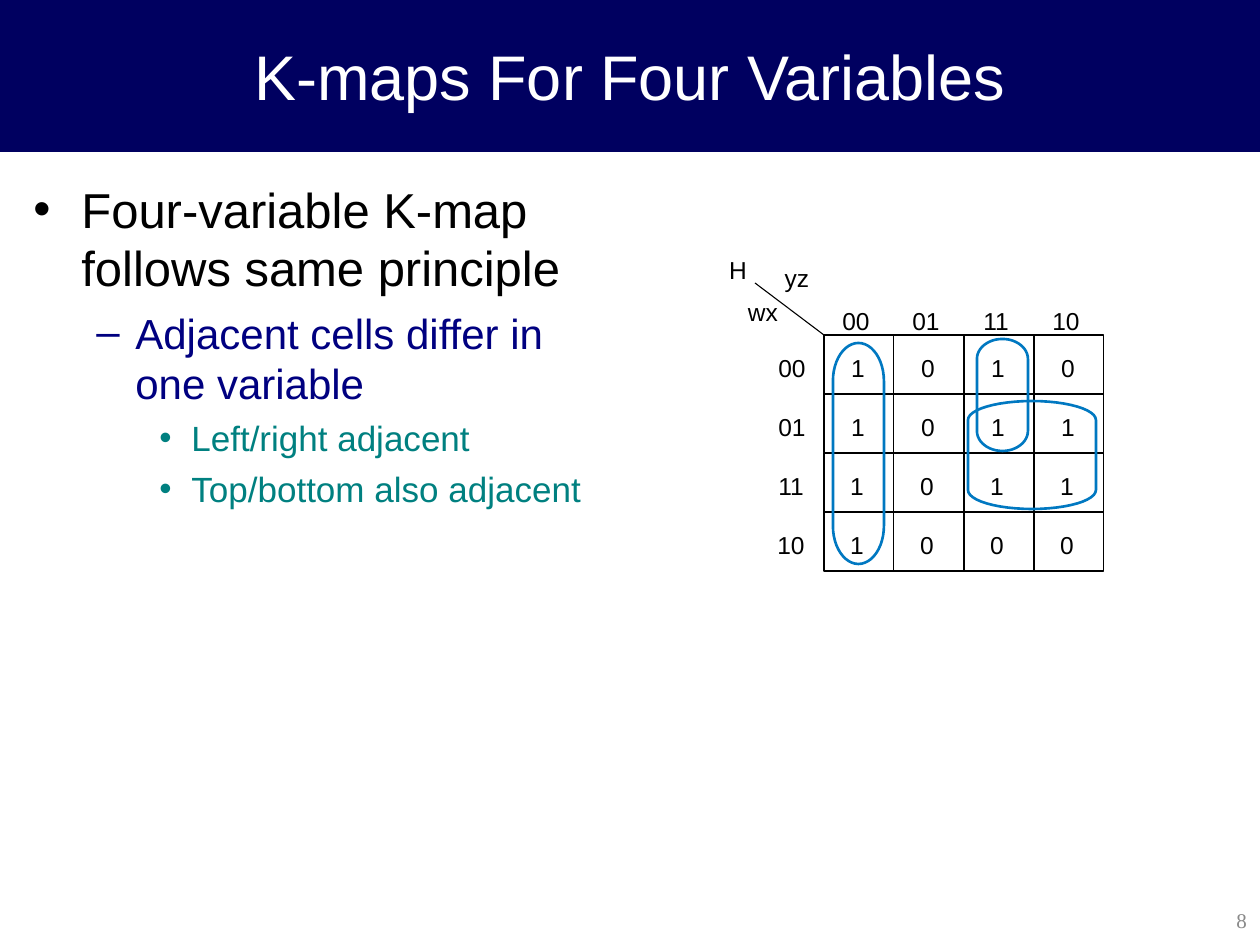
from dataclasses import dataclass
from math import cos, pi, sin

from lxml.etree import SubElement
from pptx import Presentation
from pptx.dml.color import RGBColor
from pptx.enum.shapes import MSO_CONNECTOR, MSO_SHAPE
from pptx.enum.text import MSO_ANCHOR, PP_ALIGN
from pptx.oxml.ns import qn
from pptx.util import Pt


@dataclass(frozen=True)
class Theme:
    """Colours, fonts and type sizes of the slide."""
    navy: str = "000060"
    white: str = "FFFFFF"
    black: str = "000000"
    blue: str = "000080"
    teal: str = "008080"
    loop: str = "0078C1"
    grey: str = "898989"
    sans: str = "Arial"
    serif: str = "Times New Roman"
    title: int = 36
    levels: tuple = (28, 24, 20)
    label: int = 14
    number: int = 12
    thin: float = 0.62
    thick: float = 1.5


THEME = Theme()
GRAY_CODE = ("00", "01", "11", "10")


def px(n):
    """Turn slide pixels into EMU."""
    return round(n * 914400 / 126)


def style_run(p, size, color, font=THEME.sans):
    """Format every run of a paragraph."""
    for r in p.runs:
        r.font.size = Pt(size)
        r.font.name = font
        r.font.color.rgb = RGBColor.from_string(color)


def add_text(slide, box, text, size, color, align, font=THEME.sans, inset=0):
    """Add a one-line text box centred vertically in its box."""
    tf = slide.shapes.add_textbox(*map(px, box)).text_frame
    tf.margin_left = tf.margin_right = px(inset)
    tf.margin_top = tf.margin_bottom = 0
    tf.vertical_anchor = MSO_ANCHOR.MIDDLE
    tf.word_wrap = True
    tf.text = text
    p = tf.paragraphs[0]
    p.alignment = align
    style_run(p, size, color, font)


def add_line(slide, x1, y1, x2, y2):
    """Draw a thin straight line."""
    ln = slide.shapes.add_connector(MSO_CONNECTOR.STRAIGHT, *map(px, (x1, y1, x2, y2)))
    ln.line.color.rgb = RGBColor.from_string(THEME.black)
    ln.line.width = Pt(THEME.thin)
    SubElement(ln._element.spPr, qn("a:effectLst"))


def add_rect(slide, box, line, width, fill=None):
    """Draw a rectangle, filled or hollow."""
    sp = slide.shapes.add_shape(MSO_SHAPE.RECTANGLE, *map(px, box))
    sp.shadow.inherit = False
    if fill:
        sp.fill.solid()
        sp.fill.fore_color.rgb = RGBColor.from_string(fill)
    else:
        sp.fill.background()
    sp.line.color.rgb = RGBColor.from_string(line)
    sp.line.width = Pt(width)


def add_loop(slide, box, cap):
    """Outline a group of cells with half-ellipse caps of the given height."""
    x, y, w, h = box
    steps = 24
    angles = [pi * i / steps for i in range(steps + 1)]
    mid = x + w / 2
    bottom = [(mid + w / 2 * cos(a), y + h - cap + cap * sin(a)) for a in angles]
    top = [(mid - w / 2 * cos(a), y + cap - cap * sin(a)) for a in angles]
    points = [(px(a), px(b)) for a, b in bottom + top]
    builder = slide.shapes.build_freeform(*points[0])
    builder.add_line_segments(points[1:], close=True)
    sp = builder.convert_to_shape()
    sp.shadow.inherit = False
    sp.fill.background()
    sp.line.color.rgb = RGBColor.from_string(THEME.loop)
    sp.line.width = Pt(THEME.thick)


def add_title(slide, box, text):
    """Place the title on its banner."""
    add_rect(slide, box, THEME.navy, 0.75, THEME.navy)
    add_text(slide, box, text, THEME.title, THEME.white, PP_ALIGN.CENTER, inset=13)


def add_bullets(slide, box, items):
    """Place the bulleted outline of (level, text) items."""
    styles = (
        ("•", 48, 48, 0, THEME.black),
        ("–", 102, 39, 6, THEME.blue),
        ("•", 158, 32, 5, THEME.teal),
    )
    tf = slide.shapes.add_textbox(*map(px, box)).text_frame
    tf.word_wrap = True
    for i, (level, text) in enumerate(items):
        char, left, hang, before, color = styles[level]
        p = tf.add_paragraph() if i else tf.paragraphs[0]
        p.text = text
        p.level = level
        p.space_before = Pt(before)
        pPr = p._p.get_or_add_pPr()
        pPr.set("marL", str(px(left)))
        pPr.set("indent", str(-px(hang)))
        SubElement(SubElement(pPr, qn("a:buClr")), qn("a:srgbClr"), val=color)
        SubElement(pPr, qn("a:buFont"), typeface=THEME.sans)
        SubElement(pPr, qn("a:buChar"), char=char)
        style_run(p, THEME.levels[level], color)


def add_kmap(slide, box, rows, loops):
    """Place a four-variable K-map with its labels, values and loops."""
    x, y, w, h = box
    gx, gy, col, row = x + 95, y + 80, 70, 59
    right = gx + 4 * col

    def label(left, top, width, text):
        add_text(slide, (left, top, width, 29), text, THEME.label,
                 THEME.black, PP_ALIGN.CENTER)

    for half in range(2):
        top = gy + 2 * row * half
        add_rect(slide, (gx, top, 4 * col, 2 * row), THEME.black, THEME.thin)
        add_line(slide, gx, top + row, right, top + row)
        for c in range(1, 4):
            add_line(slide, gx + c * col, top, gx + c * col, top + 2 * row)
    add_line(slide, gx, gy, x + 26, y + 28)

    label(x - 2, y, 22, "H")
    label(x + 52, y + 8, 32, "yz")
    label(x + 16, y + 42, 36, "wx")
    for i, code in enumerate(GRAY_CODE):
        label(gx + 16 + i * col, gy - 29, 32, code)
        label(gx - 48 - i // 2, gy + 18 + i * row, 32, code)
    for r, values in enumerate(rows):
        for c, value in enumerate(values):
            label(gx + 25 - r // 2 + c * col, gy + 18 + r * row, 18, value)
    for (dx, dy, lw, lh), cap in loops:
        add_loop(slide, (gx + dx, gy + dy, lw, lh), cap)


def main():
    """Build the slide and save it."""
    prs = Presentation()
    prs.slide_width, prs.slide_height = px(1260), px(945)
    slide = prs.slides.add_slide(prs.slide_layouts[6])
    add_title(slide, (0, 0, 1260, 151), "K-maps For Four Variables")
    add_bullets(slide, (21, 173, 598, 721), (
        (0, "Four-variable K-map follows same principle"),
        (1, "Adjacent cells differ in one variable"),
        (2, "Left/right adjacent"),
        (2, "Top/bottom also adjacent"),
    ))
    add_kmap(slide, (729, 255, 376, 316), ("1010", "1011", "1011", "1000"), (
        ((144, 66, 128, 108), 19),
        ((153, 4, 51, 112), 20),
        ((9, 8, 51, 221), 38),
    ))
    add_text(slide, (993, 895, 267, 50), "8", THEME.number, THEME.grey,
             PP_ALIGN.RIGHT, THEME.serif, inset=13)
    prs.save("out.pptx")


if __name__ == "__main__":
    main()
